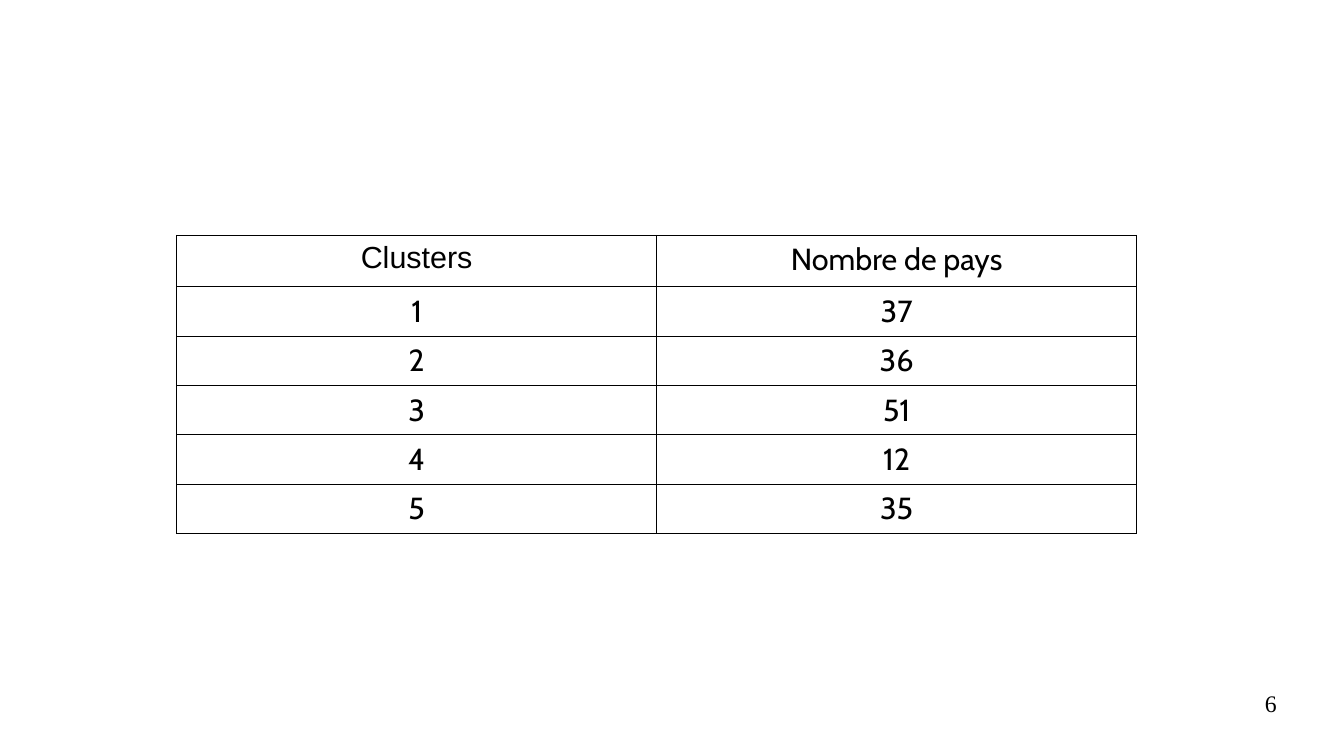
from lxml.etree import SubElement
from pptx import Presentation
from pptx.dml.color import RGBColor
from pptx.enum.text import PP_ALIGN
from pptx.oxml.ns import qn
from pptx.util import Cm, Pt

COLOURS = {"text": "000000", "border": "000000"}
CLUSTER_ROWS = [
    ("Clusters", "Nombre de pays"),
    ("1", "37"),
    ("2", "36"),
    ("3", "51"),
    ("4", "12"),
    ("5", "35"),
]


class SlideBuilder:
    table_font = "Cabin"
    first_header_font = "Arial"
    number_font = "Times New Roman"
    border_width = Pt(0.57)

    def __init__(self, slide):
        self.slide = slide

    def style_paragraph(self, paragraph, font_name, size, alignment):
        paragraph.alignment = alignment
        paragraph.font.name = font_name
        paragraph.font.size = Pt(size)
        paragraph.font.bold = False
        paragraph.font.color.rgb = RGBColor.from_string(COLOURS["text"])

    def add_borders(self, cell):
        """Draw the four cell edges; they must precede the fill in the XML."""
        properties = cell._tc.get_or_add_tcPr()
        for edge in ("a:lnL", "a:lnR", "a:lnT", "a:lnB"):
            line = SubElement(properties, qn(edge), w=str(self.border_width))
            fill = SubElement(line, qn("a:solidFill"))
            SubElement(fill, qn("a:srgbClr"), val=COLOURS["border"])

    def add_table(self, rows, left, top, width, header_height, row_height):
        height = header_height + row_height * (len(rows) - 1)
        frame = self.slide.shapes.add_table(
            len(rows), len(rows[0]), left, top, width, height)
        table = frame.table
        table.first_row = False
        table.horz_banding = False
        for row_index, texts in enumerate(rows):
            is_header = row_index == 0
            table.rows[row_index].height = header_height if is_header else row_height
            for column_index, text in enumerate(texts):
                cell = table.cell(row_index, column_index)
                cell.text = text
                is_first_header = is_header and column_index == 0
                font_name = self.first_header_font if is_first_header else self.table_font
                self.style_paragraph(
                    cell.text_frame.paragraphs[0], font_name, 18, PP_ALIGN.CENTER)
                self.add_borders(cell)
                cell.fill.background()

    def add_page_number(self, text, left, top, width, height):
        text_frame = self.slide.shapes.add_textbox(left, top, width, height).text_frame
        text_frame.word_wrap = True
        text_frame.margin_left = text_frame.margin_right = 0
        text_frame.margin_top = text_frame.margin_bottom = 0
        text_frame.text = text
        self.style_paragraph(
            text_frame.paragraphs[0], self.number_font, 14, PP_ALIGN.RIGHT)


def main():
    presentation = Presentation()
    presentation.slide_width = Cm(28)
    presentation.slide_height = Cm(15.75)
    builder = SlideBuilder(presentation.slides.add_slide(presentation.slide_layouts[6]))
    builder.add_table(CLUSTER_ROWS, Cm(3.68), Cm(4.9), Cm(20), Cm(1.07), Cm(0.97))
    builder.add_page_number("6", Cm(20.07), Cm(14.35), Cm(6.53), Cm(1.09))
    presentation.save("out.pptx")


if __name__ == "__main__":
    main()
